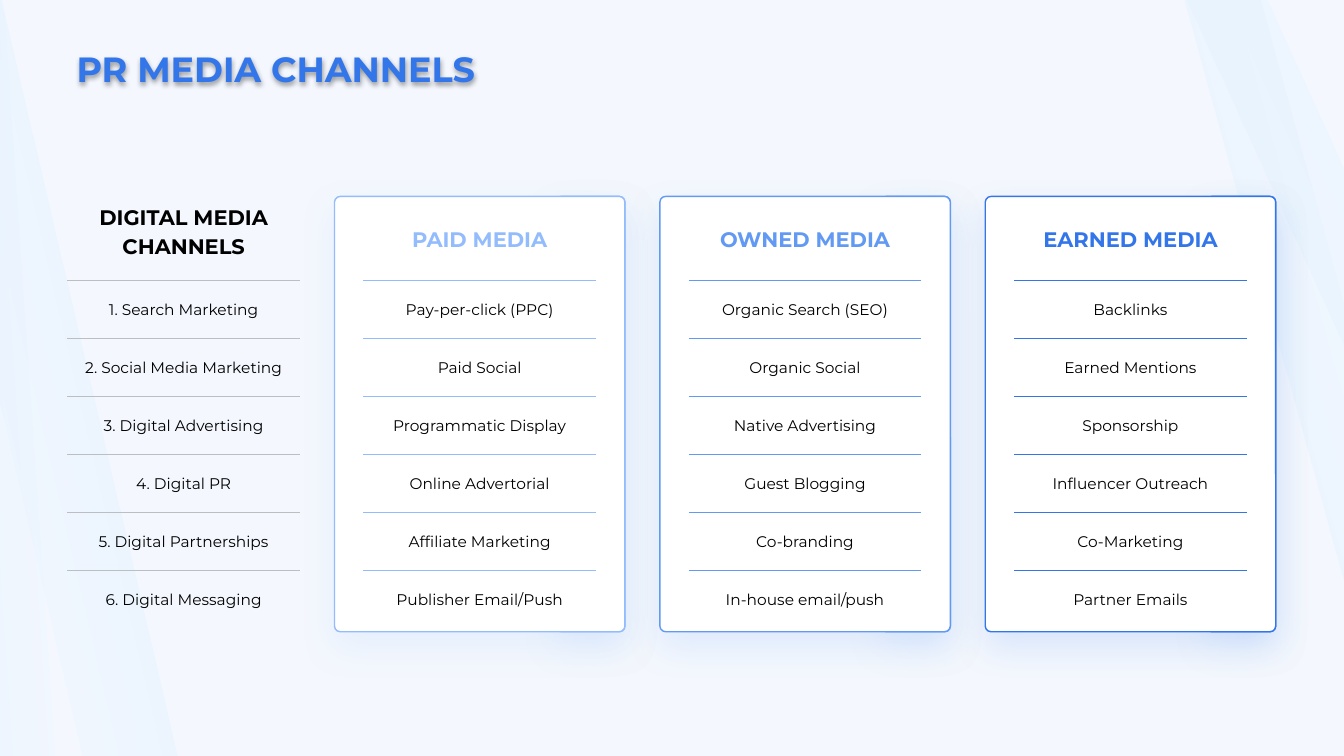
from dataclasses import dataclass

from lxml.etree import SubElement
from pptx import Presentation
from pptx.dml.color import RGBColor
from pptx.enum.shapes import MSO_CONNECTOR, MSO_SHAPE
from pptx.enum.text import MSO_ANCHOR, PP_ALIGN
from pptx.oxml.ns import qn
from pptx.util import Cm, Pt

BLUE = "3376E9"
BLACK = "000000"
PALE = "93BCFC"
# Layout in centimetres
LABEL_X, CARD_X, PITCH = 1.7, 8.43, 8.2
CARD_Y, CARD_W, CARD_H = 4.95, 7.32, 10.97
RULE_Y, ROW_H, RULE_W = 7.06, 1.46, 5.86
INSET = (CARD_W - RULE_W) / 2
TAB_W = 1.75


@dataclass
class Beam:
    left: float
    top: float
    width: float
    height: float
    angle: float
    flip: bool


@dataclass
class Column:
    title: str
    color: str
    rows: list[str]


BEAMS = [
    Beam(31.83, -4.8, 1.85, 23.75, 344.7, False),
    Beam(33.02, -5.23, 1.85, 23.75, 335.6, True),
    Beam(-1.55, -2.13, 2.34, 25.2, 356.1, False),
    Beam(0.05, -2.39, 2.34, 25.2, 346.9, True),
]
LABELS = Column("DIGITAL MEDIA\nCHANNELS", "BCBFC2", [
    "1. Search Marketing", "2. Social Media Marketing", "3. Digital Advertising",
    "4. Digital PR", "5. Digital Partnerships", "6. Digital Messaging"])
CARDS = [
    Column("PAID MEDIA", PALE, [
        "Pay-per-click (PPC)", "Paid Social", "Programmatic Display",
        "Online Advertorial", "Affiliate Marketing", "Publisher Email/Push"]),
    Column("OWNED MEDIA", "6199F3", [
        "Organic Search (SEO)", "Organic Social", "Native Advertising",
        "Guest Blogging", "Co-branding", "In-house email/push"]),
    Column("EARNED MEDIA", BLUE, [
        "Backlinks", "Earned Mentions", "Sponsorship",
        "Influencer Outreach", "Co-Marketing", "Partner Emails"]),
]


def rgb(code: str) -> RGBColor:
    return RGBColor.from_string(code)


def add_alpha(node, percent: int) -> None:
    SubElement(node, qn("a:alpha"), val=str(percent * 1000))


def add_shadow(shape, color: str, alpha: int, blur: float, dist: float) -> None:
    shape.shadow.inherit = False
    effects = shape._element.spPr.find(qn("a:effectLst"))
    outer = SubElement(effects, qn("a:outerShdw"), blurRad=str(Pt(blur)),
                       dist=str(Pt(dist)), dir="5400000", algn="t", rotWithShape="0")
    add_alpha(SubElement(outer, qn("a:srgbClr"), val=color), alpha)


def add_text(slide, text: str, left: float, top: float, width: float, height: float, *,
             size: float = 11, color: str = BLACK, bold: bool = False,
             align=PP_ALIGN.CENTER, leading: float | None = None):
    box = slide.shapes.add_textbox(Cm(left), Cm(top), Cm(width), Cm(height))
    frame = box.text_frame
    frame.word_wrap = True
    frame.vertical_anchor = MSO_ANCHOR.MIDDLE
    frame.text = text
    for para in frame.paragraphs:
        para.alignment = align
        if leading:
            para.line_spacing = Pt(leading)
        font = para.font
        font.name, font.size, font.bold = "Montserrat", Pt(size), bold
        font.color.rgb = rgb(color)
    return box


def add_beam(slide, beam: Beam) -> None:
    shape = slide.shapes.add_shape(MSO_SHAPE.RECTANGLE, Cm(beam.left), Cm(beam.top),
                                   Cm(beam.width), Cm(beam.height))
    shape.rotation = beam.angle
    shape.shadow.inherit = False
    shape.line.fill.background()
    shape.fill.gradient()
    shape.fill.gradient_angle = 0
    stops = shape.fill.gradient_stops
    for stop, color, alpha in zip(stops, ("87CDFF", "EBF7FF"), (20, 0)):
        stop.color.rgb = rgb(color)
    for node, alpha in zip(shape._element.spPr.iter(qn("a:srgbClr")), (20, 0)):
        add_alpha(node, alpha)
    if beam.flip:
        shape._element.spPr.xfrm.set("flipH", "1")


def add_panel(slide, left: float, width: float, fill: str, line: str,
              shade: str, radius: float) -> None:
    panel = slide.shapes.add_shape(MSO_SHAPE.ROUNDED_RECTANGLE, Cm(left), Cm(CARD_Y),
                                   Cm(width), Cm(CARD_H))
    panel.adjustments[0] = radius
    panel.fill.solid()
    panel.fill.fore_color.rgb = rgb(fill)
    panel.line.color.rgb = rgb(line)
    panel.line.width = Pt(1)
    add_shadow(panel, shade, 15, 26, 10)


def add_rows(slide, column: Column, left: float) -> None:
    for i, row in enumerate(column.rows):
        y = RULE_Y + i * ROW_H
        rule = slide.shapes.add_connector(MSO_CONNECTOR.STRAIGHT, Cm(left), Cm(y),
                                          Cm(left + RULE_W), Cm(y))
        rule.line.color.rgb = rgb(column.color)
        rule.line.width = Pt(0.5)
        SubElement(rule._element.spPr, qn("a:effectLst"))
        add_text(slide, row, left, y + 0.37, RULE_W, 0.74)


def main() -> None:
    deck = Presentation()
    deck.slide_width, deck.slide_height = Cm(33.87), Cm(19.05)
    slide = deck.slides.add_slide(deck.slide_layouts[6])

    # Background and light beams
    slide.background.fill.solid()
    slide.background.fill.fore_color.rgb = rgb("F4F8FE")
    for beam in BEAMS:
        add_beam(slide, beam)

    # Coloured tabs behind the cards
    for i, card in enumerate(CARDS):
        left = CARD_X + i * PITCH + CARD_W - TAB_W
        add_panel(slide, left, TAB_W, card.color, card.color, PALE, 0.08)

    # Media cards
    for i, card in enumerate(CARDS):
        left = CARD_X + i * PITCH
        add_panel(slide, left, CARD_W, "FFFFFF", card.color, card.color, 0.02)
        add_text(slide, card.title, left + INSET, 5.59, RULE_W, 0.89,
                 size=15, color=card.color, bold=True)
        add_rows(slide, card, left + INSET)

    # Channel labels
    add_text(slide, LABELS.title, LABEL_X, 4.93, RULE_W, 1.7,
             size=15, bold=True, leading=21)
    add_rows(slide, LABELS, LABEL_X)

    # Title
    title = add_text(slide, "PR MEDIA CHANNELS", 1.68, 1.07, 12, 1.32,
                     size=25, color=BLUE, bold=True, align=PP_ALIGN.LEFT)
    add_shadow(title, BLACK, 40, 4, 1.5)

    deck.save("out.pptx")


if __name__ == "__main__":
    main()
